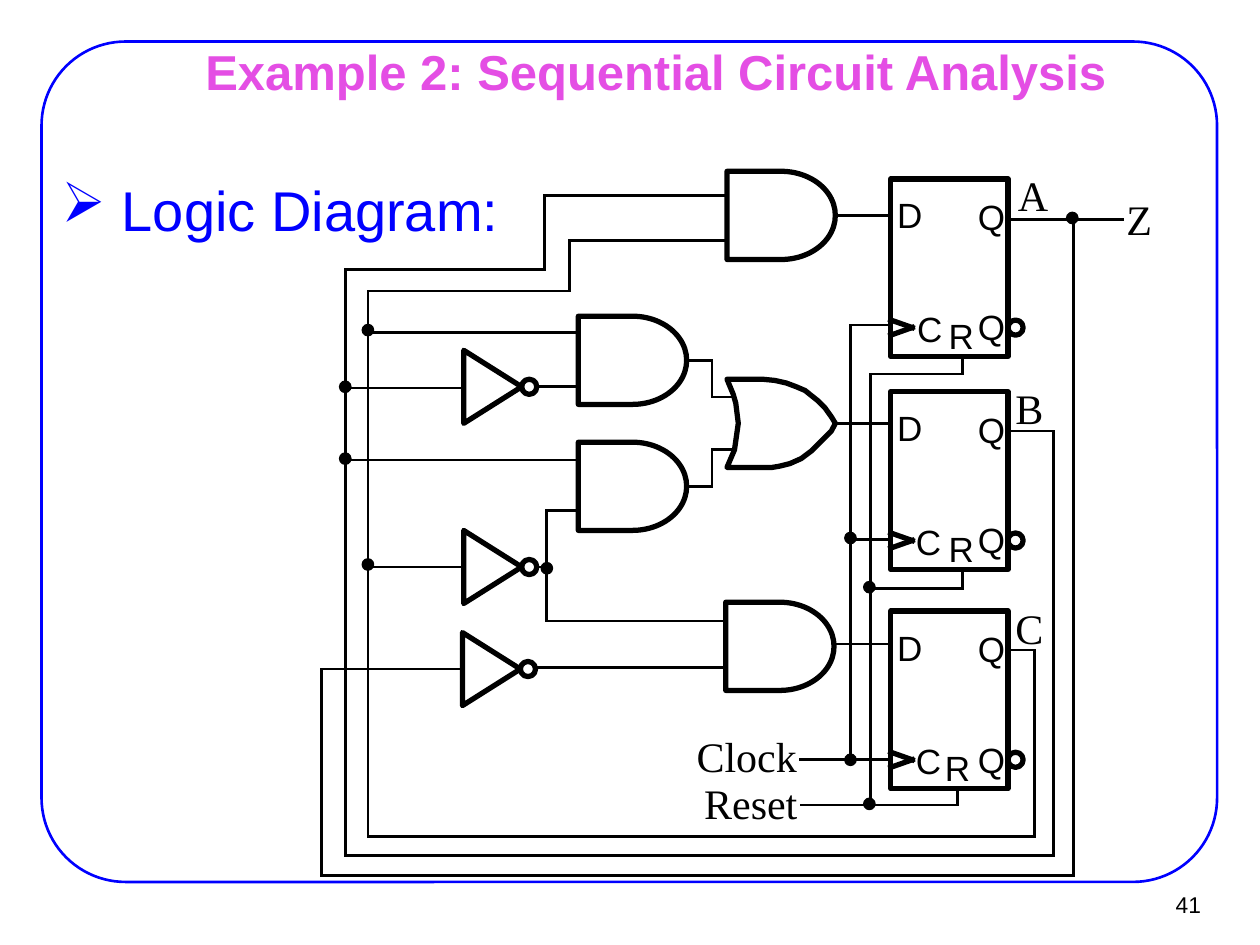
from dataclasses import dataclass
from itertools import pairwise

from lxml.etree import SubElement
from pptx import Presentation
from pptx.dml.color import RGBColor
from pptx.enum.shapes import MSO_CONNECTOR, MSO_SHAPE
from pptx.enum.text import MSO_ANCHOR, PP_ALIGN
from pptx.oxml.ns import qn
from pptx.slide import Slide
from pptx.util import Inches, Pt

OR_OUTLINE = [
    (5.77, 3.01), (5.82, 3.13), (5.84, 3.2), (5.86, 3.36), (5.84, 3.5),
    (5.83, 3.57), (5.8, 3.64), (5.77, 3.71), (6.03, 3.71), (6.13, 3.71),
    (6.19, 3.7), (6.27, 3.68), (6.36, 3.64), (6.44, 3.58), (6.5, 3.52),
    (6.56, 3.46), (6.6, 3.42), (6.63, 3.36), (6.6, 3.31), (6.55, 3.24),
    (6.49, 3.18), (6.44, 3.14), (6.39, 3.1), (6.32, 3.07), (6.24, 3.04),
    (6.15, 3.02), (6.05, 3.01),
]
WIRES = [
    [(4.26, 4.5), (4.34, 4.5)],
    [(4.58, 4.05), (4.34, 4.05), (4.34, 4.93), (5.75, 4.93)],
    [(6.62, 1.71), (7.07, 1.71)],
    [(6.62, 3.36), (7.07, 3.36)],
    [(6.62, 5.11), (7.07, 5.11)],
    [(5.46, 2.86), (5.65, 2.86), (5.65, 3.15), (5.82, 3.15)],
    [(5.46, 3.86), (5.65, 3.86), (5.65, 3.57), (5.82, 3.57)],
    [(4.24, 5.3), (5.75, 5.3)],
    [(4.27, 3.07), (4.59, 3.07)],
    [(7.07, 2.58), (6.75, 2.58), (6.75, 6.03)],
    [(6.35, 6.03), (7.06, 6.03)],
    [(6.75, 4.28), (7.06, 4.28)],
    [(7.64, 2.83), (7.64, 2.97), (6.91, 2.97), (6.91, 6.39)],
    [(7.64, 4.53), (7.64, 4.67), (6.91, 4.67)],
    [(6.36, 6.39), (7.6, 6.39), (7.6, 6.26)],
    [(8, 1.74), (8.91, 1.74)],
    [(8.52, 1.74), (8.52, 6.95), (2.55, 6.95), (2.55, 5.31), (3.66, 5.31)],
    [(8, 3.42), (8.36, 3.42), (8.36, 6.79), (2.74, 6.79), (2.74, 2.14),
     (4.32, 2.14), (4.32, 1.55), (5.76, 1.55)],
    [(8, 5.16), (8.21, 5.16), (8.21, 6.64), (2.92, 6.64), (2.92, 2.31),
     (4.52, 2.31), (4.52, 1.91), (5.76, 1.91)],
    [(2.92, 2.64), (4.57, 2.64)],
    [(2.74, 3.08), (3.66, 3.08)],
    [(2.92, 4.5), (3.67, 4.5)],
    [(2.74, 3.65), (4.59, 3.65)],
]
JUNCTIONS = [
    (4.34, 4.51), (6.9, 4.66), (6.9, 6.38), (6.75, 6.03), (6.75, 4.27),
    (2.74, 3.07), (2.92, 2.62), (2.74, 3.64), (2.92, 4.48), (8.51, 1.73),
]
AND_GATES = [(5.77, 1.36), (4.59, 2.51), (4.59, 3.51), (5.76, 4.78)]
INVERTERS = [(3.62, 2.84), (3.62, 4.27), (3.61, 5.08)]
FLIP_FLOPS = [(1.42, 7.18, 7.43), (3.11, 7.17, 7.43), (4.85, 7.17, 7.4)]
SIGNALS = [
    ("Clock", 5.43, 5.75, 1.09), ("Reset", 5.49, 6.12, 1.09),
    ("A", 7.98, 1.3, 0.52), ("B", 7.96, 2.99, 0.52),
    ("C", 7.96, 4.73, 0.52), ("Z", 8.84, 1.49, 0.52),
]


def color(code):
    """Turn a hex string into a colour."""
    return RGBColor.from_string(code)


@dataclass
class CircuitSlide:
    """Draw circuit elements on one slide in a shared style."""

    slide: Slide
    ink: str = "000000"
    accent: str = "0000FF"
    heading: str = "E44EE4"
    sans: str = "Arial"
    serif: str = "Times New Roman"
    thin: float = 1.5
    thick: float = 3

    def style(self, shape, width, line=None, fill=None):
        """Set the outline and fill of a shape."""
        shape.shadow.inherit = False
        shape.line.color.rgb = color(line or self.ink)
        shape.line.width = Pt(width)
        if fill:
            shape.fill.solid()
            shape.fill.fore_color.rgb = color(fill)
        else:
            shape.fill.background()
        return shape

    def preset(self, kind, left, top, width, height, weight=None, **look):
        """Add a preset shape."""
        shape = self.slide.shapes.add_shape(
            kind, Inches(left), Inches(top), Inches(width), Inches(height))
        return self.style(shape, weight or self.thick, **look)

    def wire(self, points, weight=None):
        """Join successive points with straight connectors."""
        for (x1, y1), (x2, y2) in pairwise(points):
            segment = self.slide.shapes.add_connector(
                MSO_CONNECTOR.STRAIGHT, Inches(x1), Inches(y1), Inches(x2), Inches(y2))
            segment.line.color.rgb = color(self.ink)
            segment.line.width = Pt(weight or self.thin)
            properties = segment._element.spPr
            properties.find(qn("a:ln")).set("cap", "sq")
            SubElement(properties, qn("a:effectLst"))

    def text(self, words, left, top, width, height, size, font=None, ink=None,
             align=PP_ALIGN.LEFT, anchor=MSO_ANCHOR.TOP, wrap=True, bold=False,
             inset=(0.1, 0.05), before=0):
        """Add a text box of one run and return its paragraph."""
        frame = self.slide.shapes.add_textbox(
            Inches(left), Inches(top), Inches(width), Inches(height)).text_frame
        frame.word_wrap = wrap
        frame.vertical_anchor = anchor
        frame.margin_left = frame.margin_right = Inches(inset[0])
        frame.margin_top = frame.margin_bottom = Inches(inset[1])
        paragraph = frame.paragraphs[0]
        paragraph.alignment = align
        paragraph.space_before = Pt(before)
        run = paragraph.add_run()
        run.text = words
        run.font.name = font or self.sans
        run.font.size = Pt(size)
        run.font.bold = bold
        run.font.color.rgb = color(ink or self.ink)
        return paragraph

    def bullet(self, words, left, top, width, height, size):
        """Add a text box with an arrow bullet."""
        paragraph = self.text(words, left, top, width, height, size,
                              ink=self.accent, inset=(0.11, 0.06), before=4)
        properties = paragraph._p.get_or_add_pPr()
        properties.set("marL", str(Inches(0.81)))
        properties.set("indent", str(Inches(-0.31)))
        SubElement(properties, qn("a:buChar")).set("char", "➢")

    def bubble(self, left, top):
        """Add an inversion bubble."""
        self.preset(MSO_SHAPE.OVAL, left, top, 0.12, 0.12)

    def junction(self, x, y):
        """Add a filled dot centred on a wire crossing."""
        self.preset(MSO_SHAPE.OVAL, x - 0.04, y - 0.04, 0.08, 0.08, self.thin,
                    fill=self.ink)

    def and_gate(self, left, top):
        """Add an AND gate."""
        self.preset(MSO_SHAPE.FLOWCHART_DELAY, left, top, 0.86, 0.7)

    def or_gate(self, outline):
        """Add an OR gate along its outline."""
        start, *rest = [(Inches(x), Inches(y)) for x, y in outline]
        builder = self.slide.shapes.build_freeform(*start)
        builder.add_line_segments(rest, close=True)
        self.style(builder.convert_to_shape(), self.thick)

    def inverter(self, left, top):
        """Add a NOT gate pointing right."""
        self.preset(MSO_SHAPE.ISOSCELES_TRIANGLE, left, top, 0.58, 0.46).rotation = 90
        self.bubble(left + 0.52, top + 0.17)

    def flip_flop(self, top, clock_left, reset_left):
        """Add a D flip-flop with its pins."""
        self.preset(MSO_SHAPE.RECTANGLE, 7.07, top, 0.93, 1.41)
        self.bubble(8, top + 1.12)
        tip = top + 1.18
        self.wire([(7.07, tip - 0.06), (7.24, tip), (7.07, tip + 0.06)], self.thick)
        pins = [("D", 7.02, 0.07), ("Q", 7.66, 0.08), ("Q", 7.66, 0.96),
                ("C", clock_left, 0.97), ("R", reset_left, 1.03)]
        for pin, left, drop in pins:
            self.text(pin, left, top + drop, 0.42 if pin == "Q" else 0.4, 0.43, 20,
                      align=PP_ALIGN.CENTER, anchor=MSO_ANCHOR.MIDDLE, wrap=False)


def main():
    """Build the slide and save it."""
    deck = Presentation()
    deck.slide_width, deck.slide_height = Inches(10), Inches(7.5)
    circuit = CircuitSlide(deck.slides.add_slide(deck.slide_layouts[6]))

    border = circuit.preset(MSO_SHAPE.ROUNDED_RECTANGLE, 0.33, 0.33, 9.33, 6.67,
                            circuit.thin, line=circuit.accent)
    border.adjustments[0] = 0.1
    circuit.text("41", 9.02, 6.99, 0.61, 0.37, 13, align=PP_ALIGN.RIGHT,
                 anchor=MSO_ANCHOR.MIDDLE, wrap=False)
    circuit.text("Example 2: Sequential Circuit Analysis", 0.78, 0, 8.85, 1.12, 28,
                 ink=circuit.heading, align=PP_ALIGN.CENTER,
                 anchor=MSO_ANCHOR.MIDDLE, bold=True, inset=(0.11, 0.06))
    circuit.bullet(" Logic Diagram:", -0.12, 1.33, 9, 4.95, 32)

    for points in WIRES:
        circuit.wire(points)
    for gate in AND_GATES:
        circuit.and_gate(*gate)
    circuit.or_gate(OR_OUTLINE)
    for gate in INVERTERS:
        circuit.inverter(*gate)
    for register in FLIP_FLOPS:
        circuit.flip_flop(*register)
    for dot in JUNCTIONS:
        circuit.junction(*dot)
    for name, left, top, width in SIGNALS:
        circuit.text(name, left, top, width, 0.5, 24, font=circuit.serif, before=2)
    deck.save("out.pptx")


if __name__ == "__main__":
    main()
